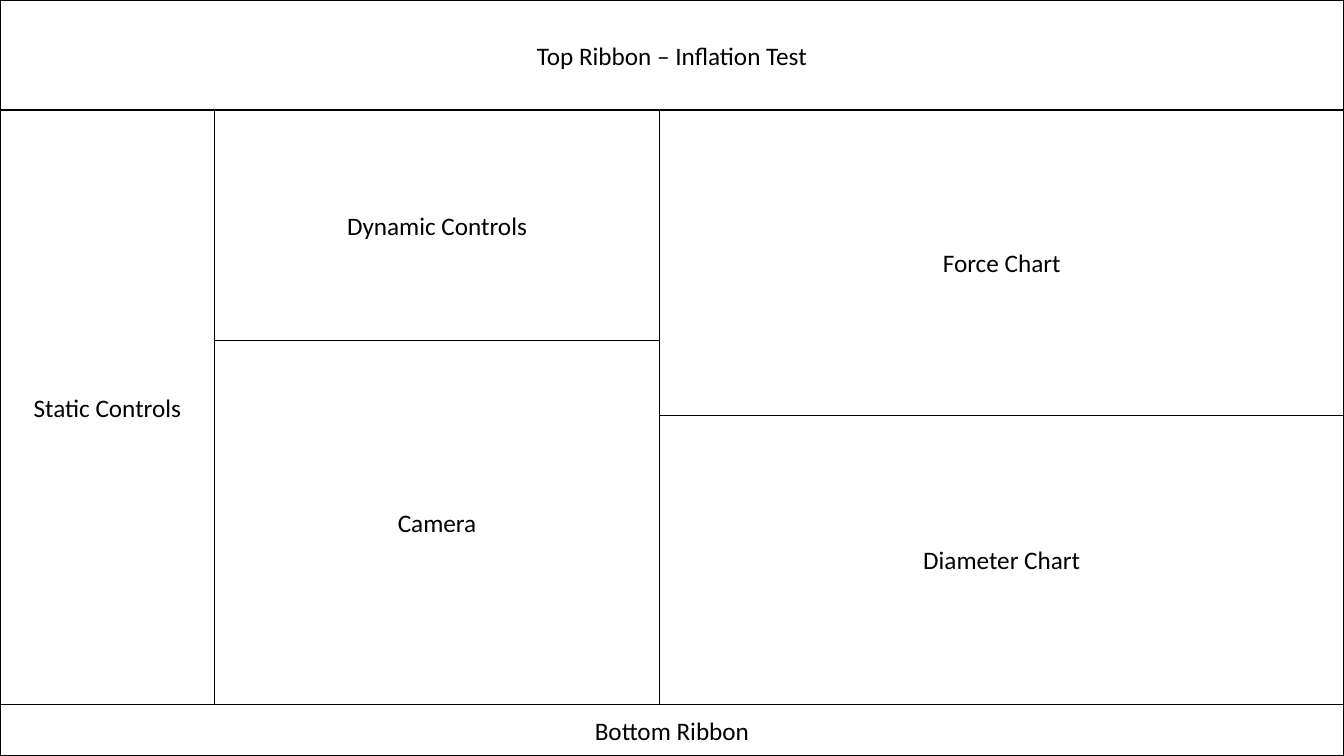
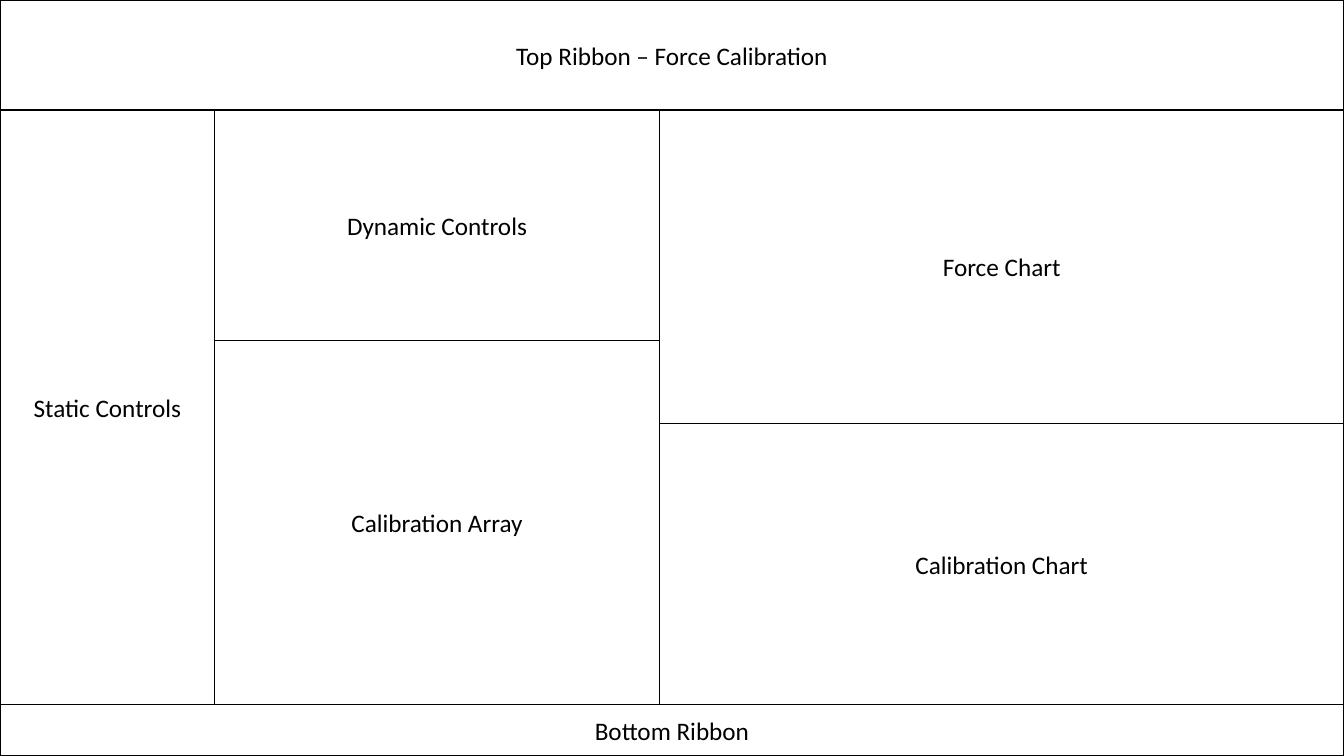
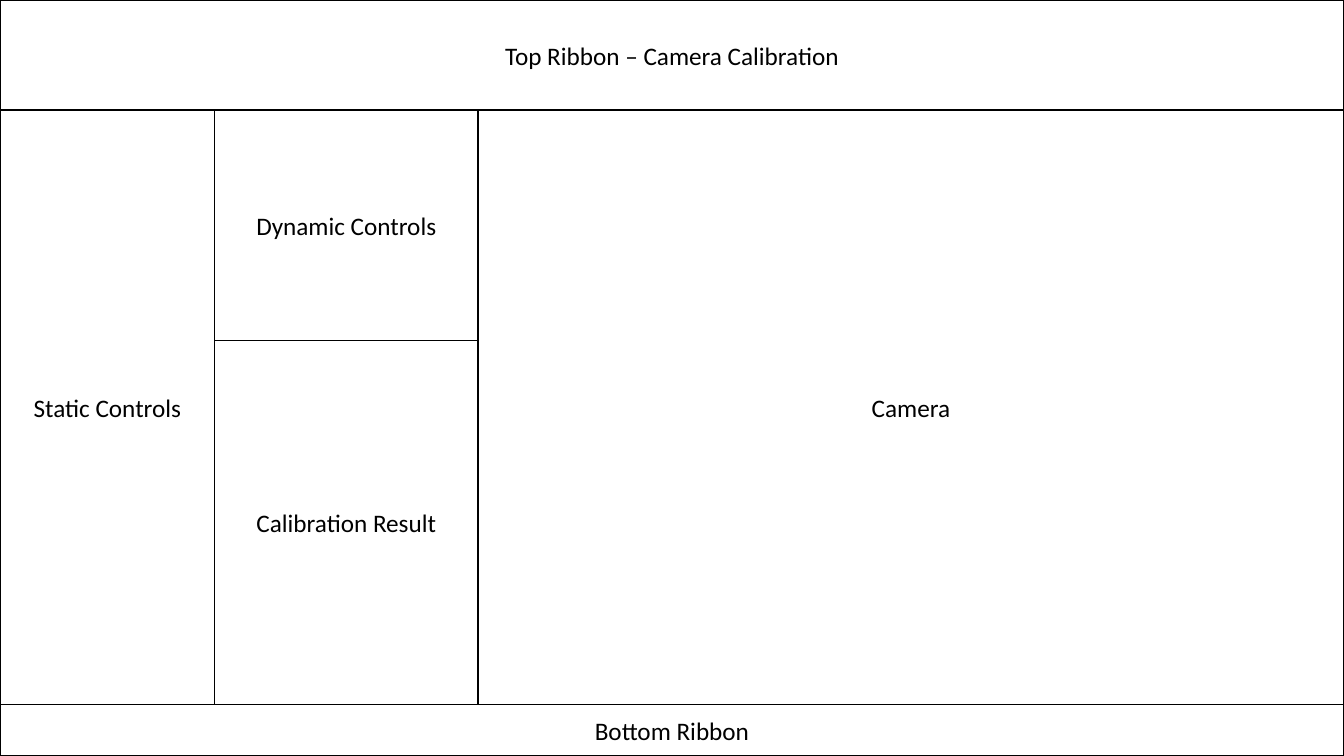
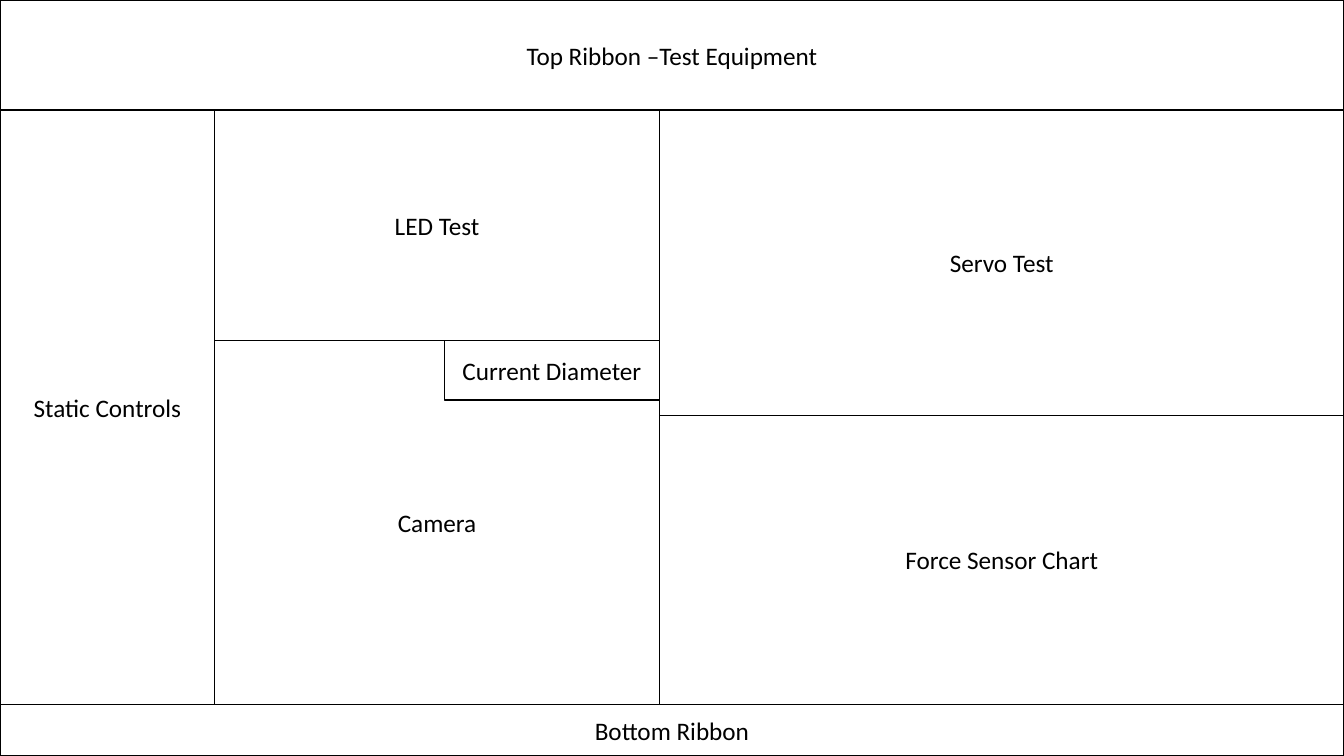
from collections import namedtuple

from pptx import Presentation
from pptx.dml.color import RGBColor
from pptx.enum.shapes import MSO_SHAPE as Shape
from pptx.enum.text import MSO_ANCHOR as Anchor, PP_ALIGN as Align
from pptx.util import Inches, Pt

# Shared grid, in inches: edges of the ribbons, columns and rows
WIDTH, HEIGHT = 13.33, 7.5
BODY_TOP, BODY_BOTTOM = 1.09, 6.99
SIDEBAR_RIGHT = 2.13
CONTROLS_BOTTOM = 3.38
READOUT_WIDTH, READOUT_HEIGHT = SIDEBAR_RIGHT, 0.59

# Shared style
PAPER, INK = "FFFFFF", "000000"
LABEL_FONT = {"name": "Calibri", "size": Pt(18)}
LABEL_FRAME = {"word_wrap": True, "vertical_anchor": Anchor.MIDDLE}

Box = namedtuple("Box", "left top right bottom")


def color(hex_value):
    return RGBColor.from_string(hex_value)


def apply(target, formats):
    for key, value in formats.items():
        setattr(target, key, value)


def panel(slide, box, label):
    """Outlined rectangle that fills the box, with a centred label."""
    area = slide.shapes.add_shape(
        Shape.RECTANGLE, Inches(box.left), Inches(box.top),
        Inches(box.right - box.left), Inches(box.bottom - box.top))
    area.shadow.inherit = False
    area.fill.solid()
    area.fill.fore_color.rgb = color(PAPER)
    area.line.color.rgb = color(INK)
    area.line.width = Pt(1)
    apply(area.text_frame, LABEL_FRAME)
    paragraph = area.text_frame.paragraphs[0]
    paragraph.alignment = Align.CENTER
    run = paragraph.add_run()
    run.text = label
    apply(run.font, LABEL_FONT)
    run.font.color.rgb = color(INK)


def column(slide, box, labels, split=None):
    """One panel, or two stacked panels that meet at the split."""
    edges = [box.top, box.bottom] if split is None else [box.top, split, box.bottom]
    for label, top, bottom in zip(labels, edges, edges[1:]):
        panel(slide, box._replace(top=top, bottom=bottom), label)


def frame(slide, title):
    """Ribbons and sidebar; returns the box left for the work area."""
    panel(slide, Box(0, BODY_BOTTOM, WIDTH, HEIGHT), "Bottom Ribbon")
    panel(slide, Box(0, BODY_TOP, SIDEBAR_RIGHT, BODY_BOTTOM), "Static Controls")
    panel(slide, Box(0, 0, WIDTH, BODY_TOP), title)
    return Box(SIDEBAR_RIGHT, BODY_TOP, WIDTH, BODY_BOTTOM)


def readout(slide, box, label):
    """Small panel in the top right corner of the box."""
    panel(slide, Box(box.right - READOUT_WIDTH, box.top,
                     box.right, box.top + READOUT_HEIGHT), label)


def screen(deck, title, middle, right, divider=6.54, right_split=None, corner=None):
    """Screen layout: frame, middle column, right column, optional readout."""
    slide = deck.slides.add_slide(deck.slide_layouts[6])
    work = frame(slide, title)
    middle_box = work._replace(right=divider)
    column(slide, middle_box, middle, CONTROLS_BOTTOM)
    column(slide, work._replace(left=divider), right, right_split)
    if corner:
        readout(slide, middle_box._replace(top=CONTROLS_BOTTOM), corner)


deck = Presentation()
deck.slide_width, deck.slide_height = Inches(WIDTH), Inches(HEIGHT)

# Inflation test
screen(deck, "Top Ribbon – Inflation Test",
       ["Dynamic Controls", "Camera"],
       ["Force Chart", "Diameter Chart"], right_split=4.12)

# Force calibration
screen(deck, "Top Ribbon – Force Calibration",
       ["Dynamic Controls", "Calibration Array"],
       ["Force Chart", "Calibration Chart"], right_split=4.2)

# Camera calibration
screen(deck, "Top Ribbon – Camera Calibration",
       ["Dynamic Controls", "Calibration Result"],
       ["Camera"], divider=4.74)

# Equipment test
screen(deck, "Top Ribbon –Test Equipment",
       ["LED Test", "Camera"],
       ["Servo Test", "Force Sensor Chart"], right_split=4.12,
       corner="Current Diameter")

deck.save("out.pptx")
